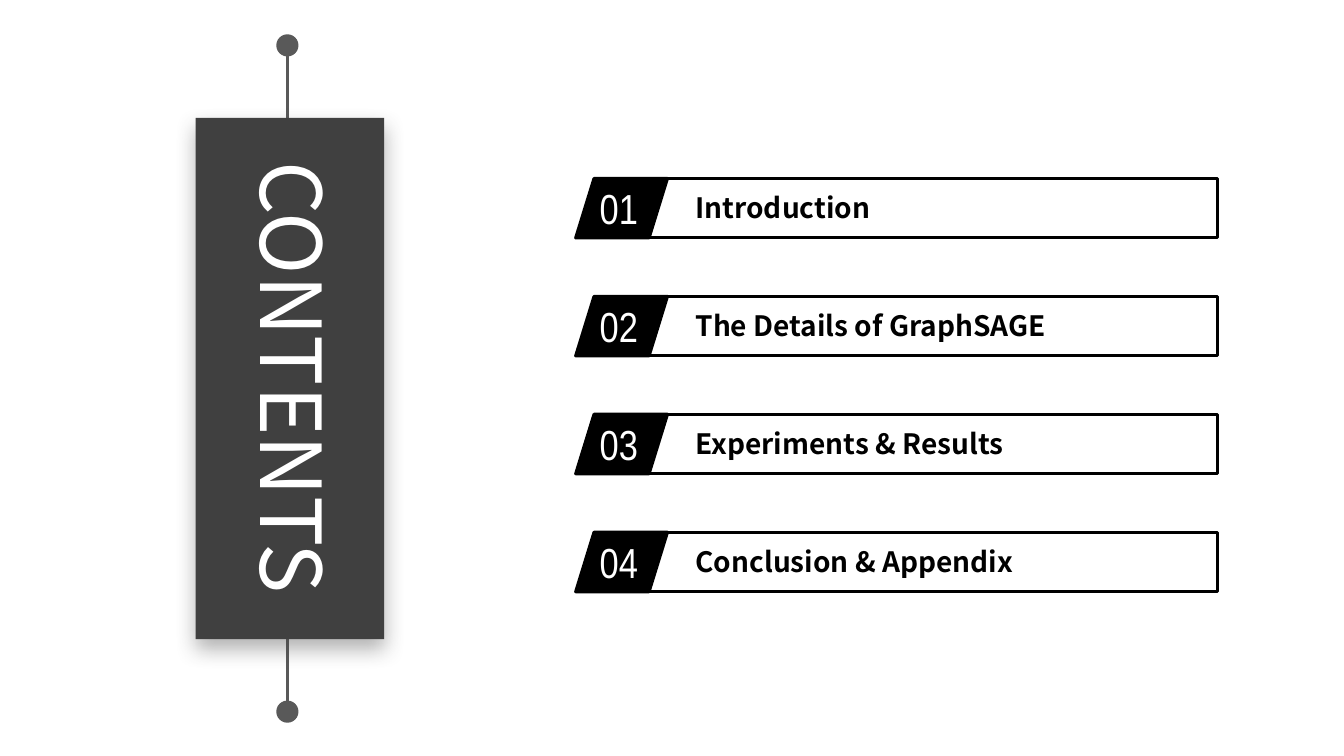
from lxml import etree
from pptx import Presentation
from pptx import util as u
from pptx.dml.color import RGBColor
from pptx.enum import shapes, text
from pptx.oxml.ns import qn

COLORS = {"black": "000000", "white": "FFFFFF", "panel": "404040", "rail": "595959"}
SANS = "Noto Sans CJK SC"
NARROW = "Arial Narrow"
TOPICS = [
    "Introduction",
    "The Details of GraphSAGE",
    "Experiments & Results",
    "Conclusion & Appendix",
]


def add_block(kind, left, top, width, height, fill=None, line=None):
    block = page.shapes.add_shape(
        kind, u.Inches(left), u.Inches(top), u.Inches(width), u.Inches(height))
    block.shadow.inherit = False
    if fill:
        block.fill.solid()
        block.fill.fore_color.rgb = RGBColor.from_string(COLORS[fill])
    else:
        block.fill.background()
    if line:
        block.line.color.rgb = RGBColor.from_string(COLORS[line])
        block.line.width = u.Pt(2.25)
    else:
        block.line.fill.background()
    return block


def add_label(words, left, top, width, height, size, font, color):
    box = page.shapes.add_textbox(
        u.Inches(left), u.Inches(top), u.Inches(width), u.Inches(height))
    box.text_frame.word_wrap = True
    box.text_frame.auto_size = text.MSO_AUTO_SIZE.SHAPE_TO_FIT_TEXT
    para = box.text_frame.paragraphs[0]
    para.text = words
    span = para.runs[0]
    span.font.size = u.Pt(size)
    span.font.name = font
    span.font.color.rgb = RGBColor.from_string(COLORS[color])
    return box


deck = Presentation()
deck.slide_width = u.Inches(13.33)
deck.slide_height = u.Inches(7.5)
page = deck.slides.add_slide(deck.slide_layouts[6])

rail = page.shapes.add_connector(
    shapes.MSO_CONNECTOR.STRAIGHT,
    u.Inches(2.85), u.Inches(0.52), u.Inches(2.85), u.Inches(6.96))
rail.line.color.rgb = RGBColor.from_string(COLORS["rail"])
rail.line.width = u.Pt(2.25)
etree.SubElement(rail.element.spPr, qn("a:effectLst"))

for knob_top in (0.34, 6.95):
    add_block(shapes.MSO_SHAPE.OVAL, 2.74, knob_top, 0.22, 0.22, fill="rail")

panel = add_block(shapes.MSO_SHAPE.RECTANGLE, 0.29, 2.82, 5.17, 1.87, fill="panel")
panel.rotation = 270
effects = panel.element.spPr.find(qn("a:effectLst"))
shadow = etree.SubElement(
    effects, qn("a:outerShdw"), blurRad=str(u.Pt(15)), dist=str(u.Pt(7)),
    dir="5400000", algn="t", rotWithShape="0")
shade = etree.SubElement(shadow, qn("a:srgbClr"), val=COLORS["panel"])
etree.SubElement(shade, qn("a:alpha"), val="40000")

title = add_label("CONTENTS", 0.12, 3.19, 5.58, 1.11, 60, SANS, "white")
title.rotation = 90
title.text_frame.paragraphs[0].alignment = text.PP_ALIGN.CENTER

for index, topic in enumerate(TOPICS):
    top = 1.77 + 1.17 * index
    add_block(shapes.MSO_SHAPE.FLOWCHART_DATA, 5.71, top, 0.91, 0.59, "black", "black")
    add_label(f"{index + 1:02}", 5.85, top - 0.01, 0.76, 0.61, 30, NARROW, "white")
    add_block(shapes.MSO_SHAPE.RECTANGLE, 6.41, top, 5.67, 0.59, line="black")
    heading = add_label(topic, 6.8, top + 0.07, 4.04, 0.44, 20, SANS, "black")
    heading.text_frame.paragraphs[0].runs[0].font.bold = True

deck.save("out.pptx")
